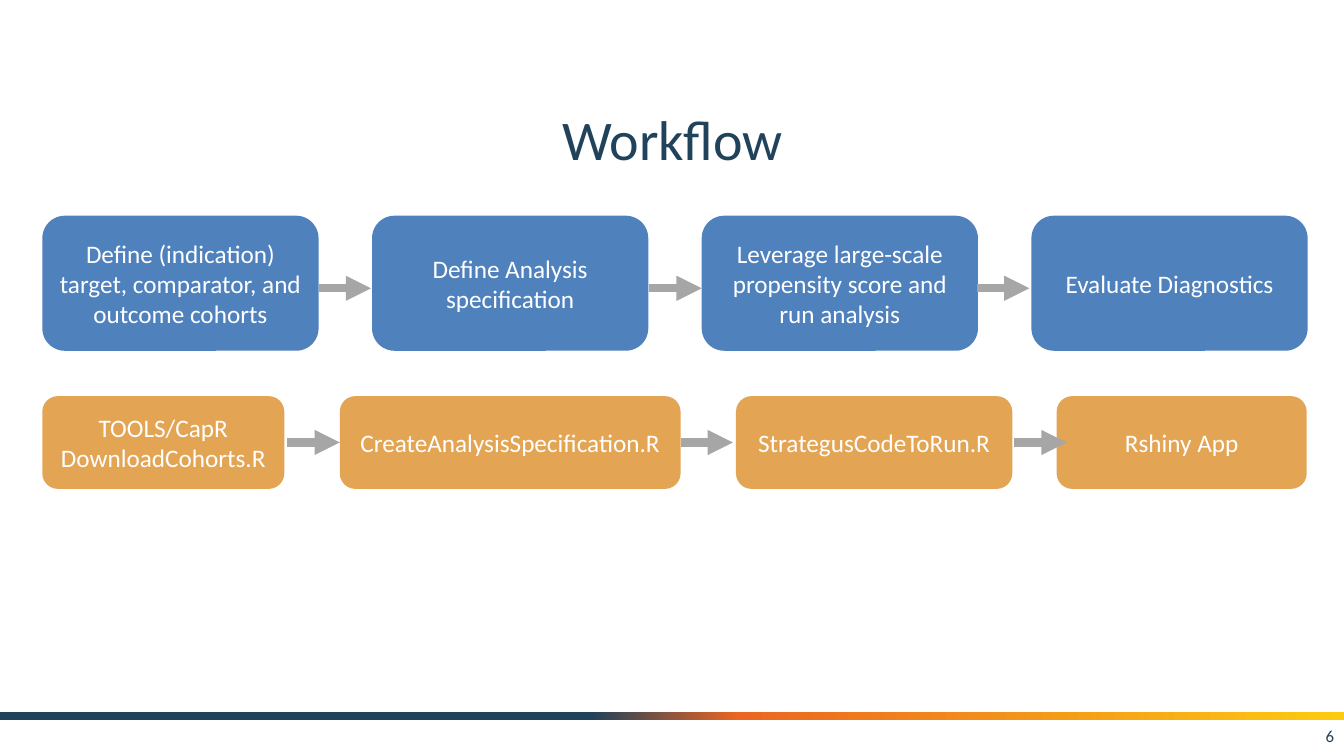
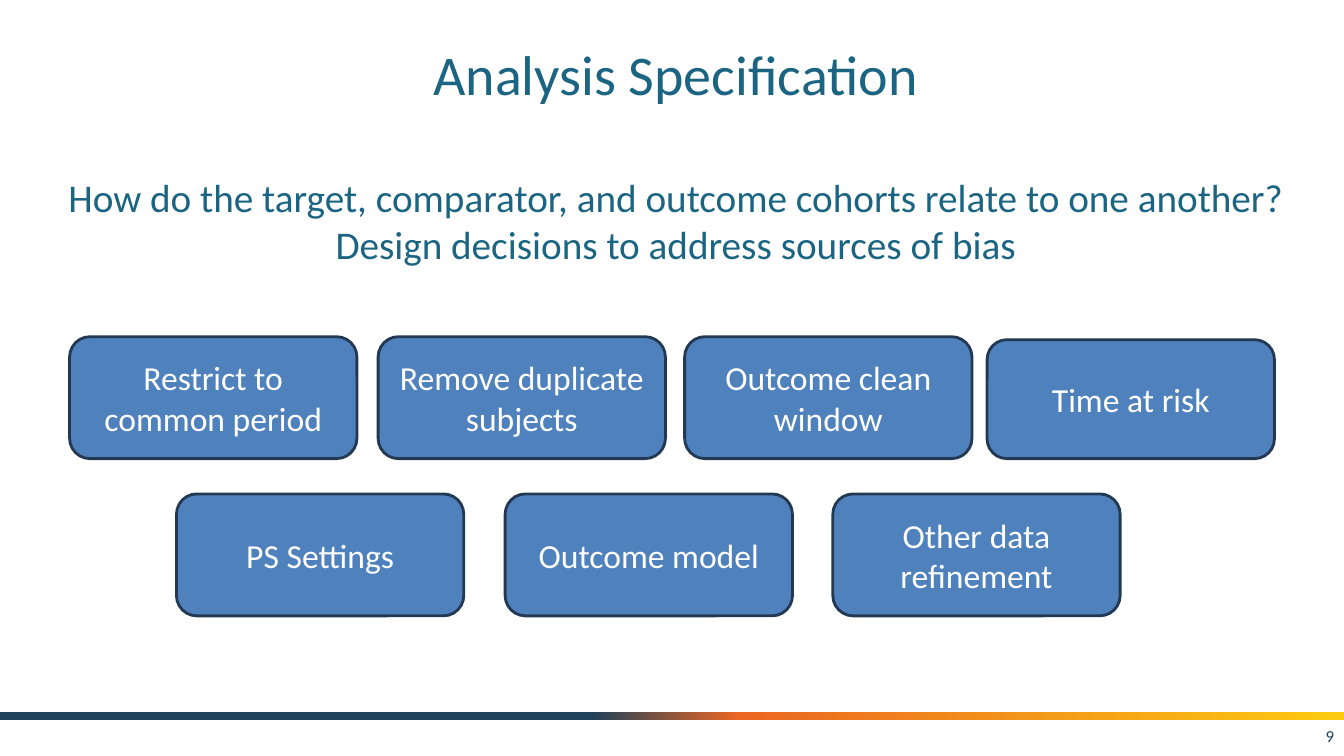
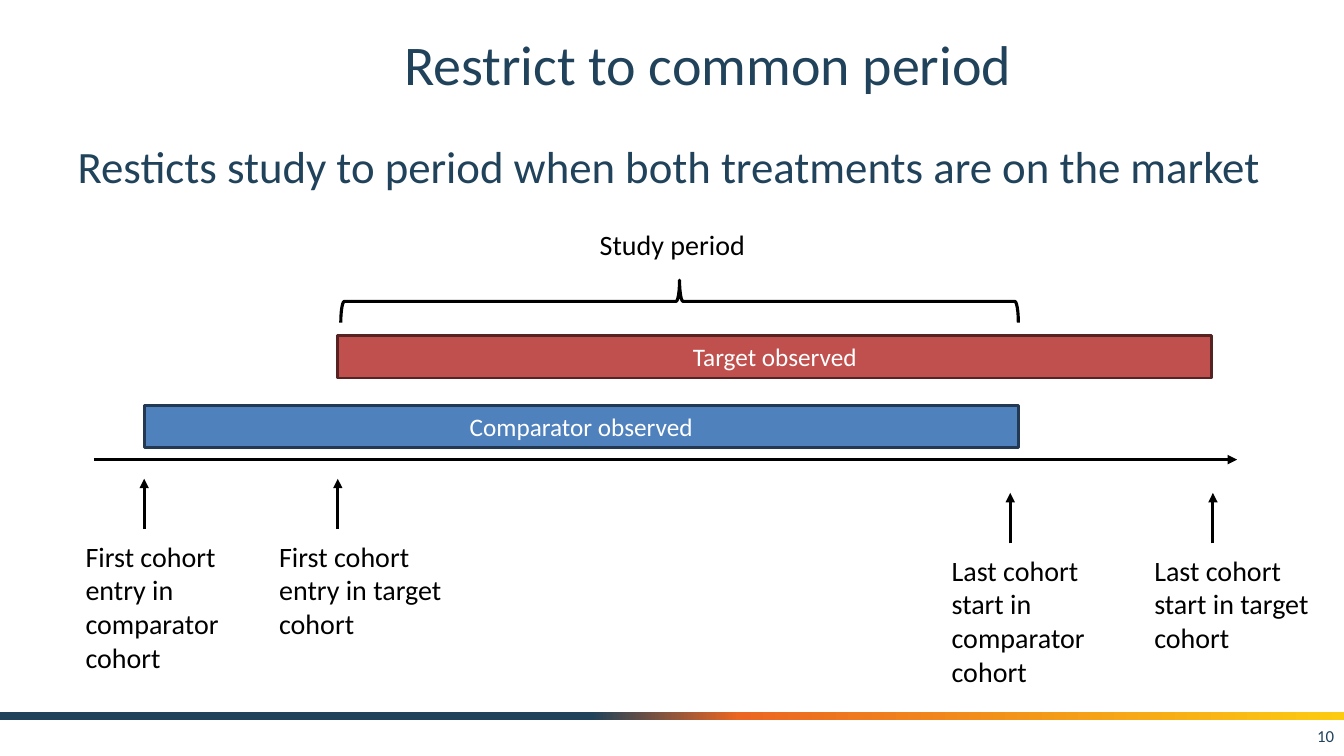
import pptx
import pptx.dml.color
import pptx.enum.shapes
import pptx.enum.text
import pptx.oxml
import pptx.oxml.ns
import pptx.util

Inches = pptx.util.Inches
Pt = pptx.util.Pt
Kind = pptx.enum.shapes.MSO_SHAPE
Align = pptx.enum.text.PP_ALIGN
Anchor = pptx.enum.text.MSO_ANCHOR


class Theme:
    font = "Calibri"
    navy, teal, white, black = "20425A", "1B6583", "FFFFFF", "000000"
    blue, amber, red, gray = "4F81BD", "E3A554", "C0504D", "A6A6A6"
    edge, rust = "233953", "542322"
    band = [(44, "20425A"), (55, "EB6622"), (100, "FCCB10")]
    title, lead, sub, card, label, text, page = 40, 32, 28, 24, 20, 18, 12
    thick, thin, rim = 6, 2.25, 2


# Content: lengths in inches
WIDTH, HEIGHT = 13.33, 7.5

STEPS = [
    "Define (indication) target, comparator, and outcome cohorts",
    "Define Analysis specification",
    "Leverage large-scale propensity score and run analysis",
    "Evaluate Diagnostics",
]
# text, left, width
TOOLS = [
    ("TOOLS/CapR\nDownloadCohorts.R", 0.42, 2.4),
    ("CreateAnalysisSpecification.R", 3.37, 3.38),
    ("StrategusCodeToRun.R", 7.3, 2.74),
    ("Rshiny App", 10.48, 2.48),
]
# height of the row, left ends
FLOWS = [(2.86, (3.16, 6.44, 9.69)), (4.39, (2.85, 6.75, 10.06))]

QUESTION = (
    "How do the target, comparator, and outcome cohorts relate to one another?\n"
    "Design decisions to address sources of bias"
)
# text, left, top, height
CHOICES = [
    ("Restrict to common period", 0.69, 3.34, 1.21),
    ("Remove duplicate subjects", 3.75, 3.34, 1.21),
    ("Outcome clean window", 6.79, 3.34, 1.21),
    ("Time at risk", 9.79, 3.37, 1.18),
    ("PS Settings", 1.75, 4.9, 1.21),
    ("Outcome model", 5.01, 4.9, 1.21),
    ("Other data refinement", 8.26, 4.9, 1.21),
]

LEAD = "Resticts study to period when both treatments are on the market"
# text, left, top, fill, line
SPANS = [
    ("Comparator observed", 1.43, 4.02, Theme.blue, Theme.edge),
    ("Target observed", 3.35, 3.33, Theme.red, Theme.rust),
]
# text, arrow position, arrow tip, label height
EVENTS = [
    ("First cohort entry in comparator cohort", 1.43, 4.75, 1.45),
    ("First cohort entry in target cohort", 3.35, 4.75, 1.11),
    ("Last cohort start in comparator cohort", 10.02, 4.89, 1.45),
    ("Last cohort start in target cohort", 12.03, 4.89, 1.11),
]


# Shared helpers
def color(code):
    return pptx.dml.color.RGBColor.from_string(code)


def node(xml):
    space = pptx.oxml.ns.nsdecls("a")
    return pptx.oxml.parse_xml(xml.replace(" ", f" {space} ", 1))


def place(item, box):
    item.left, item.top, item.width, item.height = map(Inches, box)


def write(item, text, size, ink, align=Align.CENTER, anchor=Anchor.MIDDLE):
    frame = item.text_frame
    frame.text = text
    frame.word_wrap = True
    frame.auto_size = pptx.enum.text.MSO_AUTO_SIZE.NONE
    frame.vertical_anchor = anchor
    for para in frame.paragraphs:
        para.alignment = align
        for run in para.runs:
            run.font.name = Theme.font
            run.font.size = Pt(size)
            run.font.color.rgb = color(ink)


def label(slide, text, box, size, ink, align=Align.LEFT, anchor=Anchor.TOP):
    write(slide.shapes.add_textbox(*map(Inches, box)), text, size, ink, align, anchor)


def shape(slide, kind, box, fill=None, line=None, width=Theme.rim):
    item = slide.shapes.add_shape(kind, *map(Inches, box))
    item.shadow.inherit = False
    if fill:
        item.fill.solid()
        item.fill.fore_color.rgb = color(fill)
    else:
        item.fill.background()
    if line:
        item.line.color.rgb = color(line)
        item.line.width = Pt(width)
    else:
        item.line.fill.background()
    return item


def arrow(slide, start, end, ink=Theme.black, width=Theme.thin):
    item = slide.shapes.add_connector(
        pptx.enum.shapes.MSO_CONNECTOR.STRAIGHT, *map(Inches, start + end))
    item.line.color.rgb = color(ink)
    item.line.width = Pt(width)
    props = item.element.spPr
    props.find(pptx.oxml.ns.qn("a:ln")).append(node('<a:tailEnd type="triangle"/>'))
    props.append(node("<a:effectLst />"))


def add_band(deck, slide):
    """Put the gradient band on the slide master."""
    band = shape(slide, Kind.RECTANGLE, (0, 7.06, WIDTH, 0.08), Theme.navy)
    props = band.element.spPr
    stops = "".join(
        f'<a:gs pos="{spot * 1000}"><a:srgbClr val="{code}"/></a:gs>'
        for spot, code in Theme.band)
    fill = node(f'<a:gradFill rotWithShape="1"><a:gsLst>{stops}</a:gsLst>'
                '<a:lin ang="0" scaled="0"/></a:gradFill>')
    props.replace(props.find(pptx.oxml.ns.qn("a:solidFill")), fill)
    deck.slide_master.element.cSld.spTree.append(band.element)


def add_slide(deck, layout, title, left, top, page, ink=Theme.navy):
    slide = deck.slides.add_slide(deck.slide_layouts.get_by_name(layout))
    place(slide.shapes.title, (left, top, 11.3, 0.92))
    write(slide.shapes.title, title, Theme.title, ink)
    label(slide, page, (10.22, 7.1, 3.11, 0.4), Theme.page, Theme.navy,
          Align.RIGHT, Anchor.MIDDLE)
    return slide


# Slides
def workflow(deck):
    slide = add_slide(deck, "Title Only", "Workflow", 1.02, 0.91, "6")
    add_band(deck, slide)
    steps = [(text, 0.42 + 3.27 * i, 2.74) for i, text in enumerate(STEPS)]
    rows = [(steps, 2.14, 1.34, Theme.blue), (TOOLS, 3.93, 0.92, Theme.amber)]
    for cells, top, high, fill in rows:
        for text, left, wide in cells:
            box = shape(slide, Kind.ROUNDED_RECTANGLE, (left, top, wide, high), fill)
            write(box, text, Theme.text, Theme.white)
    for y, lefts in FLOWS:
        for x in lefts:
            arrow(slide, (x, y), (x + 0.52, y), Theme.gray, Theme.thick)


def choices(deck):
    slide = add_slide(deck, "Title Only", "Analysis Specification", 1.05, 0.27,
                      "9", Theme.teal)
    label(slide, QUESTION, (0.34, 1.58, 12.72, 1.21), Theme.sub, Theme.teal,
          Align.CENTER, Anchor.MIDDLE)
    for text, left, top, high in CHOICES:
        box = shape(slide, Kind.ROUNDED_RECTANGLE, (left, top, 2.85, high),
                    Theme.blue, Theme.edge)
        write(box, text, Theme.card, Theme.white)


def period(deck):
    slide = add_slide(deck, "Title and Content", "Restrict to common period",
                      1.37, 0.17, "10")
    body = slide.placeholders[1]
    place(body, (0.67, 1.33, 12, 0.91))
    write(body, LEAD, Theme.lead, Theme.navy, Align.LEFT, Anchor.TOP)
    props = body.text_frame.paragraphs[0]._p.get_or_add_pPr()
    props.set("marL", "0")
    props.set("indent", "0")
    props.append(node("<a:buNone />"))

    # Timeline, observed spans and study period
    arrow(slide, (0.93, 4.56), (12.27, 4.56))
    for text, left, top, fill, line in SPANS:
        bar = shape(slide, Kind.RECTANGLE, (left, top, 8.67, 0.42), fill, line)
        write(bar, text, Theme.text, Theme.white)
    brace = shape(slide, Kind.RIGHT_BRACE, (6.53, -0.37, 0.42, 6.72),
                  line=Theme.black, width=Theme.thin)
    brace.rotation = 270
    label(slide, "Study period", (5.85, 2.21, 1.83, 0.44), Theme.label, Theme.black)

    # Events below the timeline
    for text, x, tip, high in EVENTS:
        arrow(slide, (x, tip + 0.5), (x, tip))
        label(slide, text, (x - 0.68, tip + 0.55, 1.83, high), Theme.label, Theme.black)


def main():
    deck = pptx.Presentation()
    deck.slide_width, deck.slide_height = Inches(WIDTH), Inches(HEIGHT)
    for build in (workflow, choices, period):
        build(deck)
    deck.save("out.pptx")


if __name__ == "__main__":
    main()
